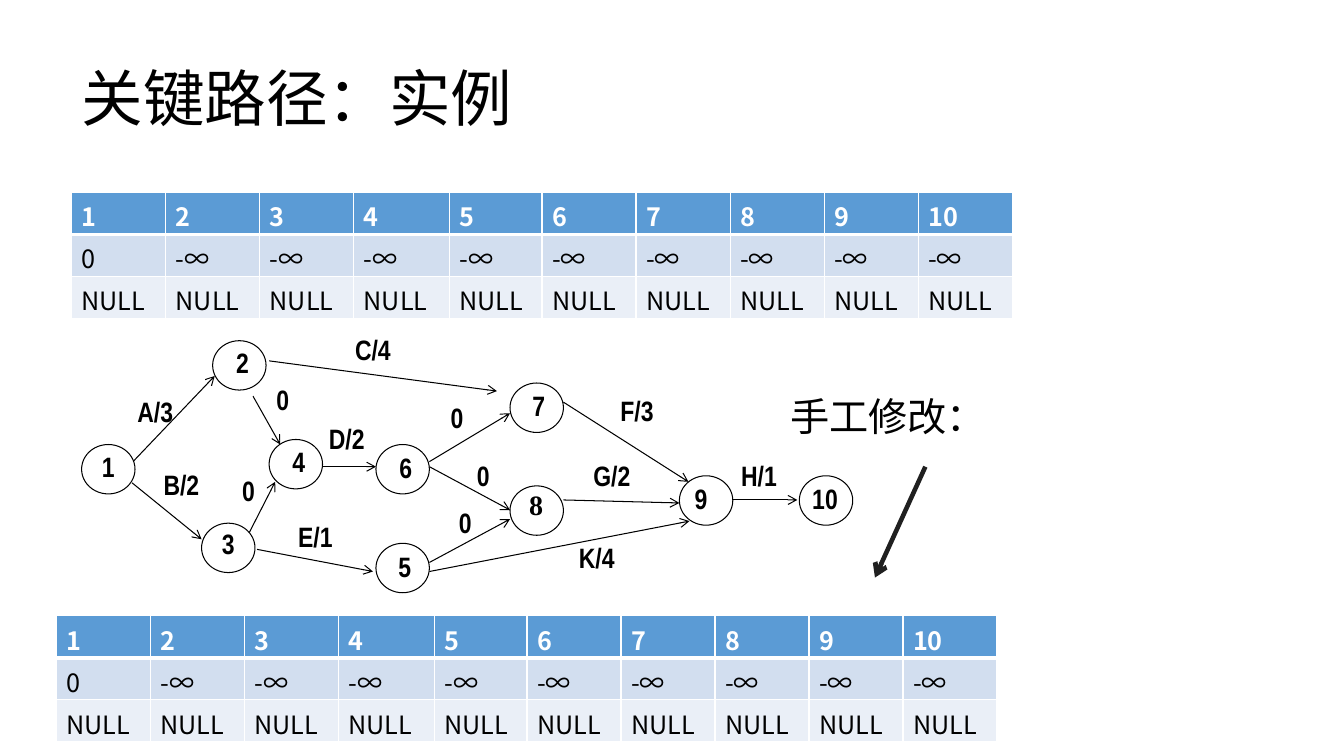
"""Build the critical path example slide: two state tables around an activity graph."""
import pptx
import pptx.dml.color
import pptx.enum.shapes
import pptx.enum.text
import pptx.oxml.ns
import pptx.util
import lxml.etree

TITLE = "关键路径：实例"
NOTE = "手工修改："
ROWS = [
    [str(n) for n in range(1, 11)],
    ["0"] + ["-∞"] * 9,
    ["NULL"] * 10,
]
WIDTHS = [9.33] * 3 + [9.5, 9.2] + [9.33] * 5
TABLES = [(7.1, 19.1), (5.6, 61.1)]

# label, label spot, line start, line end
EDGES = [
    ("A/3", (13.4, 40), (13.1, 45.9), (21.3, 37.3)),
    ("K/4", (57.2, 54.5), (42.6, 56.7), (68.4, 51.7)),
    ("B/2", (16, 47.2), (13.1, 47.9), (20, 53.5)),
    ("C/4", (35, 33.8), (26.7, 35.8), (49.3, 38.8)),
    ("D/2", (32.4, 42.7), (32, 46.3), (37.3, 46.3)),
    ("E/1", (29.3, 52.4), (25.5, 54.5), (37, 56.7)),
    ("H/1", (73.3, 46.3), (72.7, 49.6), (79.1, 49.6)),
    ("F/3", (61.2, 39.9), (55.9, 39.9), (68.3, 47.8)),
    ("G/2", (58.7, 46.3), (55.9, 49.6), (67.4, 49.9)),
    ("0", (26.7, 38.8), (25.1, 39.3), (27.8, 44.1)),
    ("0", (23.3, 47.8), (24.7, 52.9), (27.3, 47.8)),
    ("0", (44, 40.6), (42.6, 45.8), (50.6, 41)),
    ("0", (46.6, 46.3), (42.6, 46.3), (50.6, 50.6)),
    ("0", (44.8, 51), (42.6, 55.8), (50.6, 51.5)),
]
# number, circle spot, number offset
NODES = [
    ("1", (8.1, 44.1), (1.3, 1.3)),
    ("2", (21.1, 33.8), (1.6, 1.3)),
    ("3", (20, 51.9), (1.3, 1.2)),
    ("6", (37.3, 44.1), (1.6, 1.5)),
    ("4", (26.7, 43.6), (1.6, 1.4)),
    ("7", (50.6, 38), (1.5, 1.4)),
    ("8", (50.6, 48.2), (1.25, 1)),
    ("5", (37.3, 53.9), (1.5, 1.5)),
    ("9", (67.4, 47.2), (1.5, 1.4)),
    ("10", (79.3, 47.2), (1.2, 1.4)),
]
OPEN = {"4", "7", "8", "9"}


class Theme:
    """Colours, fonts and sizes."""
    black, white, dark = "000000", "FFFFFF", "202020"
    fills = ["5B9BD5", "D2DEEF", "EAEFF7"]
    sans, narrow, serif, han = "Arial", "Arial Narrow", "Times New Roman", "Noto Sans CJK SC"
    title, note, label, cell = 44, 28, 20, 18
    thin, thick = 0.75, 3.25


Align = pptx.enum.text.PP_ALIGN
Anchor = pptx.enum.text.MSO_ANCHOR
Shape = pptx.enum.shapes.MSO_SHAPE
Pt = pptx.util.Pt


def grid(*nums):
    """Turn grid cells, a tenth of an inch each, into lengths."""
    return [pptx.util.Inches(n / 10) for n in nums]


def tint(code):
    """Make a colour."""
    return pptx.dml.color.RGBColor.from_string(code)


def child(node, tag, **attrs):
    """Append a drawing element."""
    return lxml.etree.SubElement(node, pptx.oxml.ns.qn(tag), attrs)


def style(para, text, size, font, color=Theme.black, bold=False, **form):
    """Write one formatted run."""
    run = para.add_run()
    run.text = text
    for key, val in dict(size=Pt(size), name=font, bold=bold).items():
        setattr(run.font, key, val)
    run.font.color.rgb = tint(color)
    child(run.font._element, "a:ea", typeface=Theme.han)
    for key, val in form.items():
        setattr(para, key, val)


def paint(shape, color):
    """Fill a shape or leave it open."""
    if color:
        shape.fill.solid()
        shape.fill.fore_color.rgb = tint(color)
    else:
        shape.fill.background()


def label(text, spot, size, fill=Theme.white, font=Theme.narrow, align=Align.CENTER):
    """Place a small bold label."""
    box = slide.shapes.add_textbox(*grid(*spot, *size))
    paint(box, fill)
    frame = box.text_frame
    frame.word_wrap = True
    for side in ("left", "top", "right", "bottom"):
        setattr(frame, "margin_" + side, 0)
    style(frame.paragraphs[0], text, Theme.label, font, bold=True,
          alignment=align, line_spacing=0.72)


def arrow(start, end, color=Theme.black, width=Theme.thin):
    """Draw a straight arrow."""
    kind = pptx.enum.shapes.MSO_CONNECTOR.STRAIGHT
    line = slide.shapes.add_connector(kind, *grid(*start, *end))
    line.line.color.rgb = tint(color)
    line.line.width = Pt(width)
    child(line.line._get_or_add_ln(), "a:tailEnd", type="arrow")
    child(line._element.spPr, "a:effectLst")


def node(text, spot, shift):
    """Draw a numbered circle."""
    fill = None if text in OPEN else Theme.white
    ring = slide.shapes.add_shape(Shape.OVAL, *grid(*spot, 5.3, 4.9))
    ring.shadow.inherit = False
    paint(ring, fill)
    ring.line.color.rgb = tint(Theme.black)
    ring.line.width = Pt(Theme.thin)
    place = [a + b for a, b in zip(spot, shift)]
    label(text, place, (2.7, 2.2), fill,
          Theme.serif if text == "8" else Theme.narrow,
          Align.JUSTIFY if text == "9" else Align.CENTER)


def table(spot):
    """Add a state table."""
    frame = slide.shapes.add_table(3, 10, *grid(*spot, sum(WIDTHS), 12.5))
    body = frame.table
    for col, width in zip(body.columns, grid(*WIDTHS)):
        col.width = width
    for r, row in enumerate(ROWS):
        head = r == 0
        for c, text in enumerate(row):
            cell = body.cell(r, c)
            props = cell._tc.get_or_add_tcPr()
            for side in "LRTB":
                wide = (side == "B" and head) or (side == "T" and r == 1)
                edge = child(props, "a:ln" + side, w=str(Pt(3 if wide else 1)))
                child(child(edge, "a:solidFill"), "a:srgbClr", val=Theme.white)
            paint(cell, Theme.fills[r])
            style(cell.text_frame.paragraphs[0], text, Theme.cell, Theme.han,
                  Theme.white if head else Theme.black, head)


deck = pptx.Presentation()
deck.slide_width, deck.slide_height = grid(133.33, 75)
slide = deck.slides.add_slide(deck.slide_layouts[6])

top = slide.shapes.add_textbox(*grid(7.1, 2.8, 115, 14.5)).text_frame
top.word_wrap = True
top.vertical_anchor = Anchor.MIDDLE
style(top.paragraphs[0], TITLE, Theme.title, Theme.sans, line_spacing=0.9)

for text, spot, start, end in EDGES:
    label(text, spot, (2.7, 2.2) if text == "0" else (4, 2.3))
    arrow(start, end)
for item in NODES:
    node(*item)
for spot in TABLES:
    table(spot)

note = slide.shapes.add_textbox(*grid(77.4, 38.4, 21.4, 5.7)).text_frame
note.word_wrap = False
note.auto_size = pptx.enum.text.MSO_AUTO_SIZE.SHAPE_TO_FIT_TEXT
style(note.paragraphs[0], NOTE, Theme.note, Theme.han)
arrow((91.8, 46.3), (86.8, 57.3), Theme.dark, Theme.thick)

deck.save("out.pptx")
